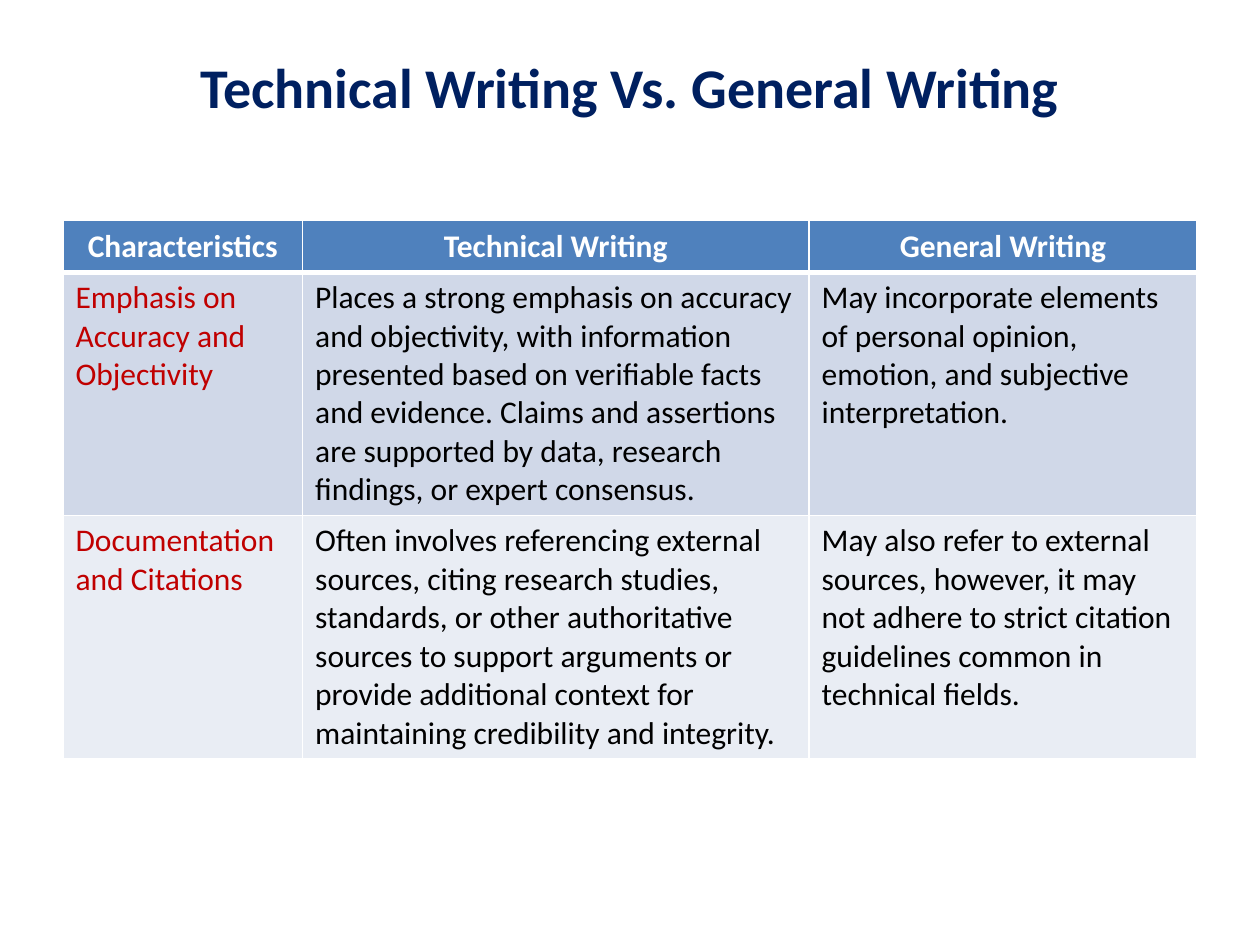
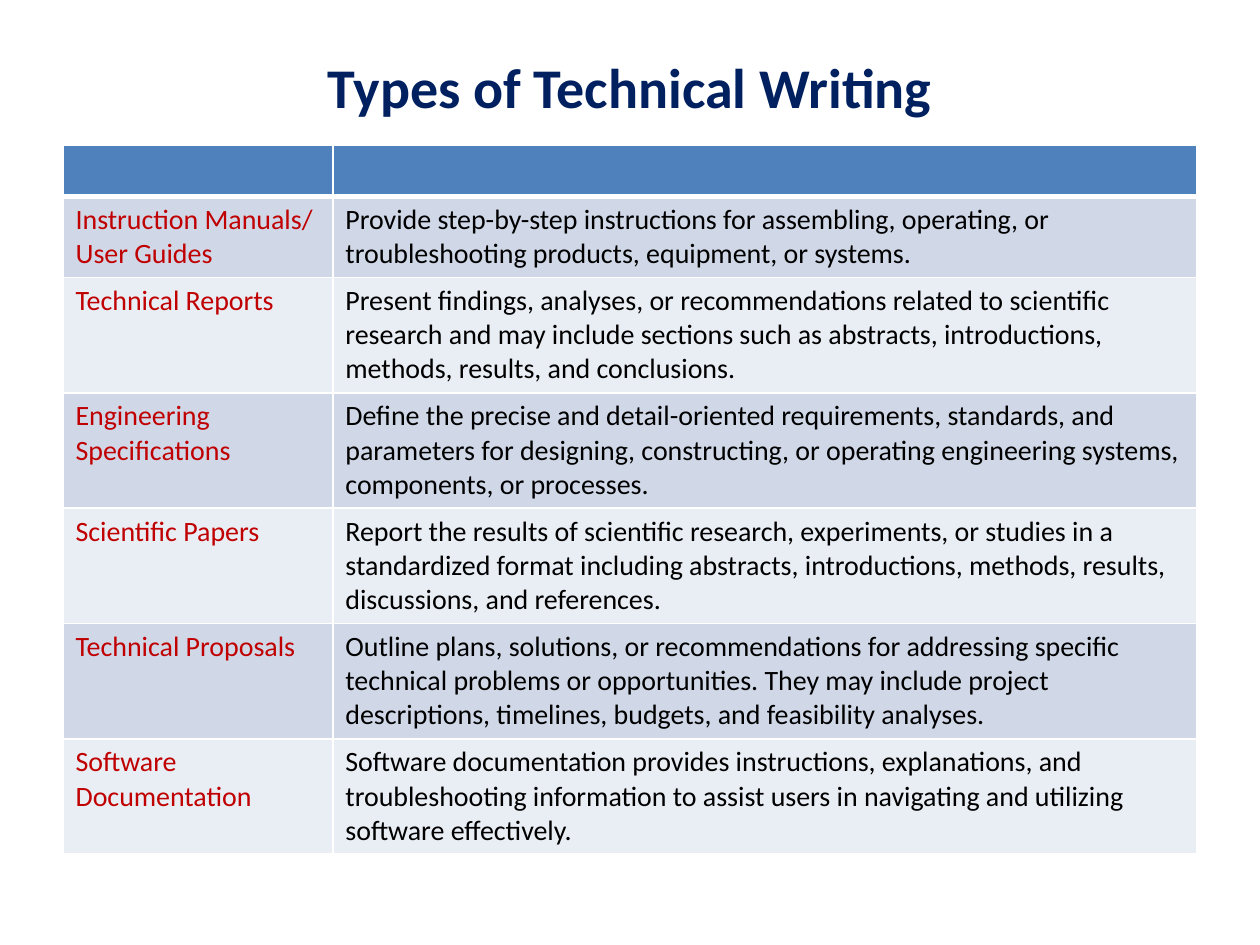
"""Build two slides that compare and classify technical writing in tables."""
import lxml.etree
import pptx
import pptx.dml.color
import pptx.enum.text
import pptx.oxml.ns
import pptx.util

Cm = pptx.util.Cm
Pt = pptx.util.Pt
RGBColor = pptx.dml.color.RGBColor
CENTER = pptx.enum.text.PP_ALIGN.CENTER

NAVY = RGBColor(0x00, 0x20, 0x60)
RED = RGBColor(0xC0, 0x00, 0x00)
BLACK = RGBColor(0x00, 0x00, 0x00)
WHITE = RGBColor(0xFF, 0xFF, 0xFF)
HEADER_BLUE = RGBColor(0x4F, 0x81, 0xBD)
BANDS = [RGBColor(0xE9, 0xED, 0xF4), RGBColor(0xD0, 0xD8, 0xE8)]
FONT = "Calibri"
LEFT = Cm(1.27)
WIDTH = Cm(22.86)
HEADER_HEIGHT = 1.04

SLIDES = [
    {
        "title": "Technical Writing Vs. General Writing",
        "top": 4.45,
        "columns": [4.83, 10.21, 7.82],
        "body_heights": [4.83, 4.83],
        "body_size": 18,
        "rows": [
            ["Characteristics", "Technical Writing", "General Writing"],
            ["Emphasis on Accuracy and Objectivity",
             "Places a strong emphasis on accuracy and objectivity, with information presented based on "
             "verifiable facts and evidence. Claims and assertions are supported by data, research "
             "findings, or expert consensus.",
             "May incorporate elements of personal opinion, emotion, and subjective interpretation."],
            ["Documentation and Citations",
             "Often involves referencing external sources, citing research studies, standards, or other "
             "authoritative sources to support arguments or provide additional context for maintaining "
             "credibility and integrity.",
             "May also refer to external sources, however, it may not adhere to strict citation "
             "guidelines common in technical fields."],
        ],
    },
    {
        "title": "Types of Technical Writing",
        "top": 2.92,
        "columns": [5.44, 17.42],
        "body_heights": [1.61] + [2.28] * 5,
        "body_size": 16,
        "rows": [
            ["", ""],
            ["Instruction Manuals/ User Guides",
             "Provide step-by-step instructions for assembling, operating, or troubleshooting products, "
             "equipment, or systems."],
            ["Technical Reports",
             "Present findings, analyses, or recommendations related to scientific research and may "
             "include sections such as abstracts, introductions, methods, results, and conclusions."],
            ["Engineering Specifications",
             "Define the precise and detail-oriented requirements, standards, and parameters for "
             "designing, constructing, or operating engineering systems, components, or processes."],
            ["Scientific Papers",
             "Report the results of scientific research, experiments, or studies in a standardized "
             "format including abstracts, introductions, methods, results, discussions, and references."],
            ["Technical Proposals",
             "Outline plans, solutions, or recommendations for addressing specific technical problems "
             "or opportunities. They may include project descriptions, timelines, budgets, and "
             "feasibility analyses."],
            ["Software Documentation",
             "Software documentation provides instructions, explanations, and troubleshooting "
             "information to assist users in navigating and utilizing software effectively."],
        ],
    },
]


def add_text(paragraph, text, size, color, bold):
    run = paragraph.add_run()
    run.text = text
    run.font.name = FONT
    run.font.size = Pt(size)
    run.font.bold = bold
    run.font.color.rgb = color


def set_borders(cell, top, bottom):
    qn = pptx.oxml.ns.qn
    properties = cell._tc.get_or_add_tcPr()
    sides = [("a:lnL", 1), ("a:lnR", 1), ("a:lnT", top), ("a:lnB", bottom)]
    for position, (tag, points) in enumerate(sides):
        line = lxml.etree.Element(qn(tag), w=str(Pt(points)))
        fill = lxml.etree.SubElement(line, qn("a:solidFill"))
        lxml.etree.SubElement(fill, qn("a:srgbClr"), val=str(WHITE))
        properties.insert(position, line)


presentation = pptx.Presentation()
presentation.slide_width = Cm(25.4)
presentation.slide_height = Cm(19.05)
title_only = presentation.slide_layouts[5]

for content in SLIDES:
    slide = presentation.slides.add_slide(title_only)
    title = slide.shapes.title
    title.left, title.top, title.width, title.height = LEFT, Cm(0.76), WIDTH, Cm(1.96)
    title.text_frame.vertical_anchor = pptx.enum.text.MSO_ANCHOR.MIDDLE
    heading = title.text_frame.paragraphs[0]
    heading.alignment = CENTER
    add_text(heading, content["title"], 32, NAVY, True)

    rows = content["rows"]
    heights = [HEADER_HEIGHT] + content["body_heights"]
    table = slide.shapes.add_table(len(rows), len(content["columns"]), LEFT, Cm(content["top"]),
                                   WIDTH, Cm(sum(heights))).table
    for column, width in zip(table.columns, content["columns"]):
        column.width = Cm(width)

    for row_index, texts in enumerate(rows):
        table.rows[row_index].height = Cm(heights[row_index])
        is_header = row_index == 0
        for column_index, text in enumerate(texts):
            cell = table.cell(row_index, column_index)
            cell.fill.solid()
            cell.fill.fore_color.rgb = HEADER_BLUE if is_header else BANDS[row_index % 2]
            set_borders(cell, 3 if row_index == 1 else 1, 3 if is_header else 1)
            paragraph = cell.text_frame.paragraphs[0]
            if is_header:
                paragraph.alignment = CENTER
            if text:
                color = WHITE if is_header else RED if column_index == 0 else BLACK
                size = 18 if is_header else content["body_size"]
                add_text(paragraph, text, size, color, is_header)

presentation.save("out.pptx")
